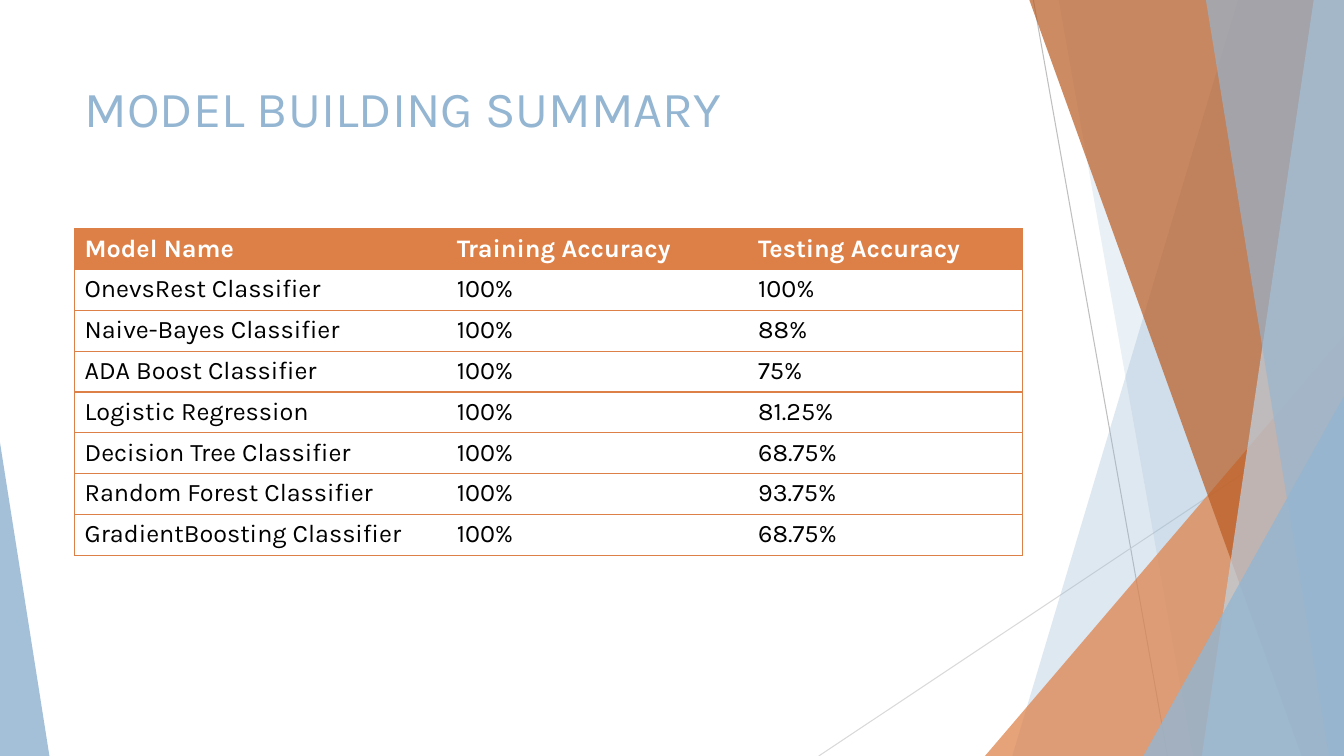
from lxml.etree import SubElement
from pptx import Presentation
from pptx.dml.color import RGBColor
from pptx.enum.shapes import MSO_CONNECTOR, MSO_SHAPE
from pptx.enum.text import MSO_ANCHOR, PP_ALIGN
from pptx.oxml.ns import qn
from pptx.util import Inches, Pt

SLIDE_WIDTH, SLIDE_HEIGHT = Inches(13.33), Inches(7.5)
FONT = "Karla"
COLORS = {
    "blue": "94B6D2", "pale_blue": "BFD3E4", "orange": "DD8047",
    "rust": "B95B22", "grey": "BFBFBF", "light_grey": "D9D9D9",
    "white": "FFFFFF", "black": "000000",
}
HEADINGS = ("Model Name", "Training Accuracy", "Testing Accuracy")
MODELS = [
    ("OnevsRest Classifier", "100%", "100%"),
    ("Naive-Bayes Classifier", "100%", "88%"),
    ("ADA Boost Classifier", "100%", "75%"),
    ("Logistic Regression", "100%", "81.25%"),
    ("Decision Tree Classifier", "100%", "68.75%"),
    ("Random Forest Classifier", "100%", "93.75%"),
    ("GradientBoosting Classifier", "100%", "68.75%"),
]
COLUMN_SHARES = (39.26, 31.8, 28.94)


def across(percent):
    return round(SLIDE_WIDTH * percent / 100)


def down(percent):
    return round(SLIDE_HEIGHT * percent / 100)


def rgb(color):
    return RGBColor.from_string(COLORS[color])


def add_run(paragraph, text, size, color, bold=False):
    run = paragraph.add_run()
    run.text = text
    run.font.name, run.font.size, run.font.bold = FONT, Pt(size), bold
    run.font.color.rgb = rgb(color)


def paint(facet, color, opacity):
    """Fill a facet with a see-through colour and no outline."""
    facet.shadow.inherit = False
    facet.line.fill.background()
    facet.fill.solid()
    facet.fill.fore_color.rgb = rgb(color)
    srgb = next(facet.fill._xPr.iter(qn("a:srgbClr")))
    SubElement(srgb, qn("a:alpha")).set("val", str(opacity * 1000))


def add_ray(slide, start, end, color):
    ray = slide.shapes.add_connector(
        MSO_CONNECTOR.STRAIGHT, across(start[0]), down(start[1]),
        across(end[0]), down(end[1]))
    ray.line.color.rgb = rgb(color)
    ray.line.width = Pt(0.75)
    SubElement(ray._element.spPr, qn("a:effectLst"))


def add_band(slide, top_x, bottom_x, color, opacity):
    """Full-height band from a slanted left edge to the slide's right edge."""
    outline = slide.shapes.build_freeform(across(top_x), 0)
    outline.add_line_segments([
        (SLIDE_WIDTH, 0), (SLIDE_WIDTH, SLIDE_HEIGHT),
        (across(bottom_x), SLIDE_HEIGHT)], close=True)
    paint(outline.convert_to_shape(), color, opacity)


def add_corner(slide, left, right, top, apex, color, opacity):
    """Triangle standing on the slide's bottom edge."""
    corner = slide.shapes.add_shape(
        MSO_SHAPE.ISOSCELES_TRIANGLE, across(left), down(top),
        across(right - left), down(100 - top))
    corner.adjustments[0] = apex
    paint(corner, color, opacity)


def add_facets(slide):
    add_ray(slide, (76.89, 0), (86.87, 100), "grey")
    add_ray(slide, (100, 53.73), (60.92, 100), "light_grey")
    add_band(slide, 92.12, 75.32, "blue", 30)
    add_band(slide, 78.77, 88.75, "blue", 20)
    add_corner(slide, 73.29, 100, 44.4, 1, "orange", 72)
    add_band(slide, 76.59, 96.85, "rust", 70)
    add_band(slide, 97.75, 89.42, "pale_blue", 70)
    add_band(slide, 89.72, 98.87, "blue", 65)
    add_corner(slide, 85.07, 100, 52.4, 1, "blue", 80)
    add_corner(slide, 0, 3.68, 58.53, 0, "blue", 85)


def add_title(slide, left, top, width, height):
    title = slide.shapes.title
    title.left, title.top, title.width, title.height = left, top, width, height
    frame = title.text_frame
    frame.word_wrap = True
    frame.vertical_anchor = MSO_ANCHOR.MIDDLE
    frame.paragraphs[0].alignment = PP_ALIGN.LEFT
    add_run(frame.paragraphs[0], "MODEL BUILDING SUMMARY", 36, "blue")


def set_borders(cell, is_first, is_last):
    """Rule each row above and below; close the table's two outer sides."""
    properties = cell._tc.get_or_add_tcPr()
    sides = {"lnL": is_first, "lnR": is_last, "lnT": True, "lnB": True}
    for side, is_drawn in sides.items():
        border = SubElement(properties, qn(f"a:{side}"), w=str(Pt(1)))
        if is_drawn:
            fill = SubElement(border, qn("a:solidFill"))
            SubElement(fill, qn("a:srgbClr"), val=COLORS["orange"])
        else:
            SubElement(border, qn("a:noFill"))


def add_accuracy_table(slide, left, top, width, height):
    rows = [HEADINGS, *MODELS]
    table = slide.shapes.add_table(
        len(rows), len(HEADINGS), left, top, width, height).table
    table.horz_banding = False
    for column, share in zip(table.columns, COLUMN_SHARES):
        column.width = round(width * share / 100)
    for r, row in enumerate(rows):
        is_heading = r == 0
        for c, text in enumerate(row):
            cell = table.cell(r, c)
            set_borders(cell, c == 0, c == len(row) - 1)
            if is_heading:
                cell.fill.solid()
                cell.fill.fore_color.rgb = rgb("orange")
            else:
                cell.fill.background()
            add_run(cell.text_frame.paragraphs[0], text, 18,
                    "white" if is_heading else "black", is_heading)


def main():
    deck = Presentation()
    deck.slide_width, deck.slide_height = SLIDE_WIDTH, SLIDE_HEIGHT
    slide = deck.slides.add_slide(deck.slide_layouts[5])
    left, width = across(5.55), across(70.52)
    add_facets(slide)
    add_title(slide, left, down(8.93), width, down(10.67))
    add_accuracy_table(slide, left, down(30.27), width, down(43.2))
    deck.save("out.pptx")


if __name__ == "__main__":
    main()
